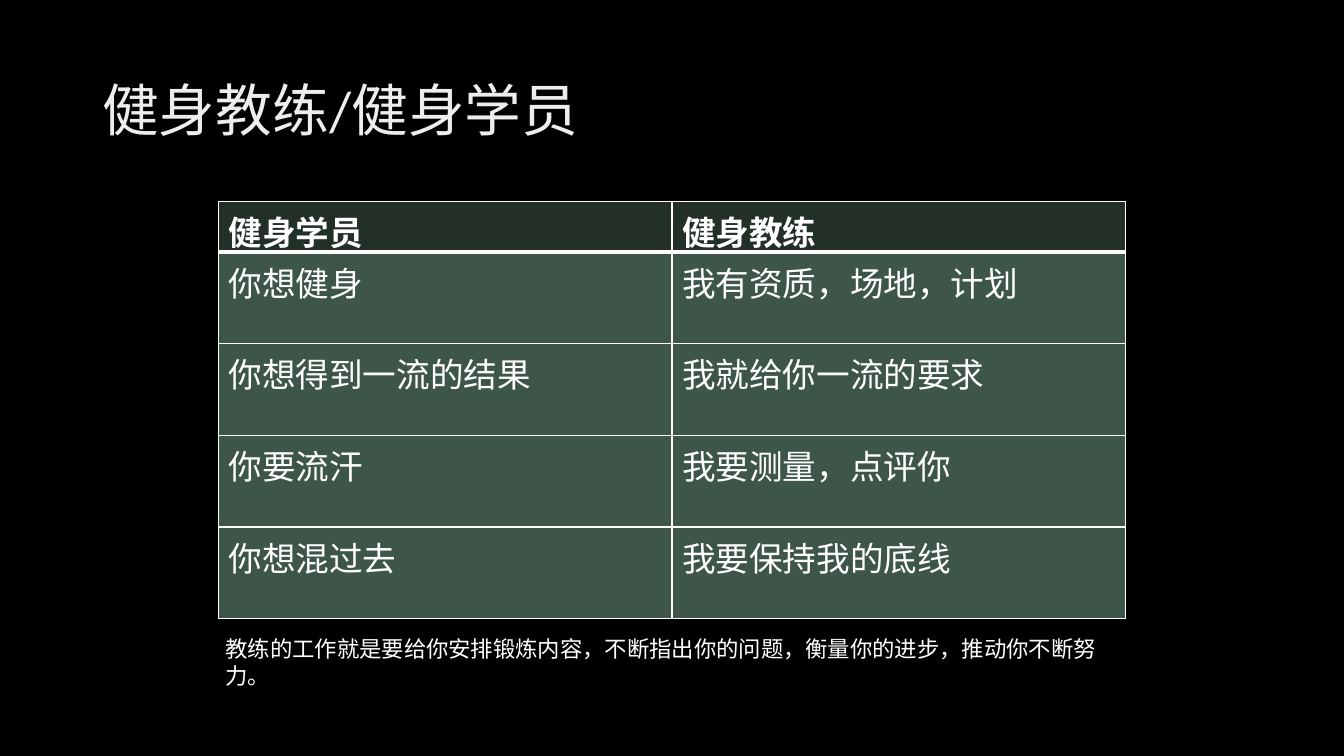
from dataclasses import dataclass

from lxml.etree import SubElement
from pptx import Presentation
from pptx.dml.color import RGBColor as Color
from pptx.enum.text import MSO_ANCHOR as Anchor, MSO_AUTO_SIZE as AutoSize
from pptx.oxml import parse_xml
from pptx.oxml.ns import nsdecls, qn
from pptx.util import Pt


@dataclass(frozen=True)
class Theme:
    background: str = "000000"
    title: str = "EDEDED"
    text: str = "FFFFFF"
    header_fill: str = "223028"
    body_fill: str = "3E5649"
    border: str = "FFFFFF"
    latin_font: str = "Calibri"
    chinese_font: str = "Noto Sans CJK SC"
    title_size: float = 40.5
    table_size: float = 24
    caption_size: float = 16
    thin_line: float = 1
    header_line: float = 3


class SlideBuilder:
    def __init__(self, slide, theme):
        self.slide = slide
        self.theme = theme
        background = slide.background.fill
        background.solid()
        background.fore_color.rgb = Color.from_string(theme.background)

    def style(self, paragraph, font_name, size, color, bold=False):
        font = paragraph.font
        font.name = font_name
        font.size = Pt(size)
        font.bold = bold
        font.color.rgb = Color.from_string(color)
        properties = paragraph._p.pPr.find(qn("a:defRPr"))
        SubElement(properties, qn("a:ea"), typeface=self.theme.chinese_font)

    def text_box(self, text, left, top, width, height, font_name, size, color):
        shape = self.slide.shapes.add_textbox(Pt(left), Pt(top), Pt(width), Pt(height))
        frame = shape.text_frame
        frame.word_wrap = True
        paragraph = frame.paragraphs[0]
        paragraph.text = text
        self.style(paragraph, font_name, size, color)
        return frame

    def title(self, text, left, top, width, height):
        frame = self.text_box(text, left, top, width, height, self.theme.latin_font,
                              self.theme.title_size, self.theme.title)
        frame.vertical_anchor = Anchor.MIDDLE
        frame.paragraphs[0].line_spacing = 0.9

    def caption(self, text, left, top, width, height):
        frame = self.text_box(text, left, top, width, height, self.theme.chinese_font,
                              self.theme.caption_size, self.theme.text)
        frame.auto_size = AutoSize.SHAPE_TO_FIT_TEXT

    def borders(self, cell, row_index):
        theme = self.theme
        widths = {"L": theme.thin_line, "R": theme.thin_line,
                  "T": theme.header_line if row_index == 1 else theme.thin_line,
                  "B": theme.header_line if row_index == 0 else theme.thin_line}
        properties = cell._tc.get_or_add_tcPr()
        for index, (side, width) in enumerate(widths.items()):
            properties.insert(index, parse_xml(
                f'<a:ln{side} {nsdecls("a")} w="{Pt(width)}"><a:solidFill>'
                f'<a:srgbClr val="{theme.border}"/></a:solidFill></a:ln{side}>'))

    def table(self, rows, left, top, column_width, header_height, row_height):
        theme = self.theme
        columns = len(rows[0])
        height = header_height + row_height * (len(rows) - 1)
        table = self.slide.shapes.add_table(
            len(rows), columns, Pt(left), Pt(top),
            Pt(column_width * columns), Pt(height)).table
        table.horz_banding = False
        for row_index, texts in enumerate(rows):
            is_header = row_index == 0
            table.rows[row_index].height = Pt(header_height if is_header else row_height)
            for column_index, text in enumerate(texts):
                cell = table.cell(row_index, column_index)
                cell.text = text
                self.style(cell.text_frame.paragraphs[0], theme.latin_font,
                           theme.table_size, theme.text, is_header)
                cell.fill.solid()
                cell.fill.fore_color.rgb = Color.from_string(
                    theme.header_fill if is_header else theme.body_fill)
                self.borders(cell, row_index)


def main():
    presentation = Presentation()
    presentation.slide_width = Pt(960)
    presentation.slide_height = Pt(540)
    slide = presentation.slides.add_slide(presentation.slide_layouts[6])
    builder = SlideBuilder(slide, Theme())
    builder.title("健身教练/健身学员", 66, 28.8, 828, 104.4)
    builder.table([
        ("健身学员", "健身教练"),
        ("你想健身", "我有资质，场地，计划"),
        ("你想得到一流的结果", "我就给你一流的要求"),
        ("你要流汗", "我要测量，点评你"),
        ("你想混过去", "我要保持我的底线"),
    ], left=156, top=144, column_width=324, header_height=24, row_height=65.5)
    builder.caption("教练的工作就是要给你安排锻炼内容，不断指出你的问题，衡量你的进步，推动你不断努力。",
                    154, 450, 648, 46)
    presentation.save("out.pptx")


if __name__ == "__main__":
    main()
